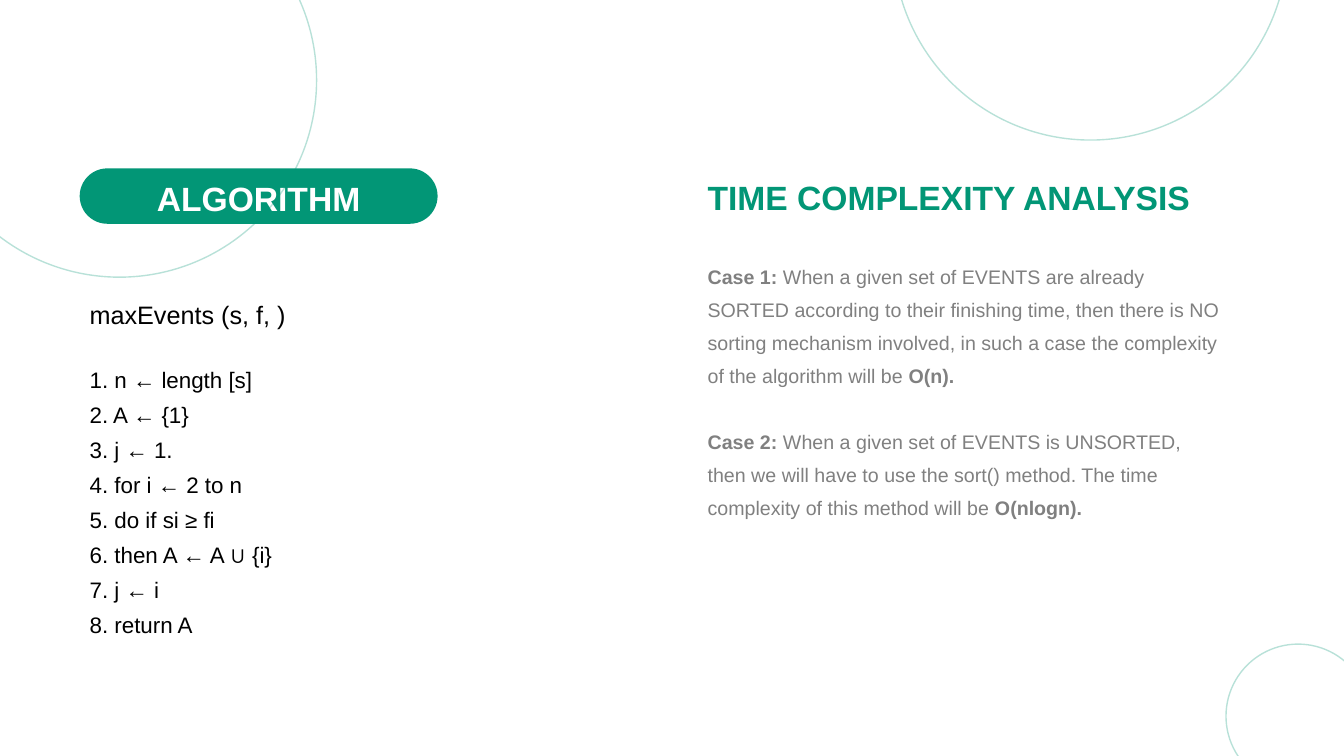
import pptx
import pptx.util
import pptx.dml.color
import pptx.enum.shapes
import pptx.enum.text
import lxml.etree

# Content
TITLE = "ALGORITHM"
HEAD = "TIME COMPLEXITY ANALYSIS"
CALL = "maxEvents (s, f, )"
STEPS = [
    "n ← length [s]",
    "A ← {1}",
    "j ← 1.",
    "for i ← 2 to n",
    "do if si ≥ fi",
    "then A ← A ∪ {i}",
    "j ← i",
    "return A",
]
CASES = [
    ("Case 1:",
     " When a given set of EVENTS are already SORTED according to their "
     "finishing time, then there is NO sorting mechanism involved, in such "
     "a case the complexity of the algorithm will be ",
     "O(n)."),
    ("Case 2:",
     " When a given set of EVENTS is UNSORTED, then we will have to use the "
     "sort() method. The time complexity of this method will be ",
     "O(nlogn)."),
]
COLORS = {"green": "029676", "gray": "808080", "white": "FFFFFF", "black": "000000"}

# Layout in inches: two columns sharing a top row
WIDE, HIGH = 13.33, 7.5
LEFT, RIGHT, TOP = 0.79, 6.92, 1.67
BIG, SMALL = 3.91, 1.43
RINGS = [(8.86, -2.52, BIG), (12.16, 6.39, SMALL), (-0.77, -1.16, BIG)]

Pt = pptx.util.Pt
SHAPE = pptx.enum.shapes.MSO_SHAPE
TEXT = pptx.enum.text

deck = pptx.Presentation()
deck.slide_width = pptx.util.Inches(WIDE)
deck.slide_height = pptx.util.Inches(HIGH)
slide = deck.slides.add_slide(deck.slide_layouts[6])


def rgb(name):
    return pptx.dml.color.RGBColor.from_string(COLORS[name])


def place(*box):
    return [pptx.util.Inches(n) for n in box]


def add_box(*box):
    frame = slide.shapes.add_textbox(*place(*box)).text_frame
    frame.word_wrap = True
    frame.auto_size = TEXT.MSO_AUTO_SIZE.SHAPE_TO_FIT_TEXT
    return frame


def style(para, size, color, bold=False, lines=1.0):
    font = para.font
    font.name, font.size, font.bold = "Arial", Pt(size), bold
    font.color.rgb = rgb(color)
    para.line_spacing = lines


def add_ring(left, top, size):
    ring = slide.shapes.add_shape(SHAPE.OVAL, *place(left, top, size, size))
    ring.shadow.inherit = False
    ring.fill.background()
    ring.line.width = Pt(1)
    ring.line.color.rgb = rgb("green")
    # Line opacity of 28 percent
    tint = ring.line.fill.fore_color._xFill[0]
    tag = pptx.oxml.ns.qn("a:alpha")
    lxml.etree.SubElement(tint, tag).set("val", "28000")


# Right column: heading and cases
para = add_box(RIGHT, TOP, 5.38, 0.54).paragraphs[0]
para.text = HEAD
style(para, 24, "green", True, 1.1)

frame = add_box(RIGHT, 2.49, 5.3, 2.74)
for i, case in enumerate(CASES):
    para = frame.add_paragraph() if i else frame.paragraphs[0]
    style(para, 14, "gray", lines=1.4)
    para.space_before = Pt(23.5 if i else 0)
    for part, bold in zip(case, (True, False, True)):
        run = para.add_run()
        run.text = part
        run.font.bold = bold

# Left column: title pill
pill = slide.shapes.add_shape(SHAPE.ROUNDED_RECTANGLE, *place(LEFT, TOP, 3.55, 0.55))
pill.adjustments[0] = 0.5
pill.shadow.inherit = False
pill.fill.solid()
pill.fill.fore_color.rgb = rgb("green")
pill.line.fill.background()
pill.text_frame.vertical_anchor = TEXT.MSO_ANCHOR.MIDDLE
para = pill.text_frame.paragraphs[0]
para.text = TITLE
para.alignment = TEXT.PP_ALIGN.CENTER
style(para, 24, "white", True, 1.1)

# Left column: call and numbered steps
frame = add_box(LEFT, 2.92, 4.58, 3.5)
para = frame.paragraphs[0]
para.text = CALL
style(para, 18, "black")
para.space_after = Pt(20.7)
for i, step in enumerate(STEPS, 1):
    para = frame.add_paragraph()
    para.text = f"{i}. {step}"
    style(para, 16, "black", lines=1.3)

# Corner rings
for ring in RINGS:
    add_ring(*ring)

deck.save("out.pptx")
